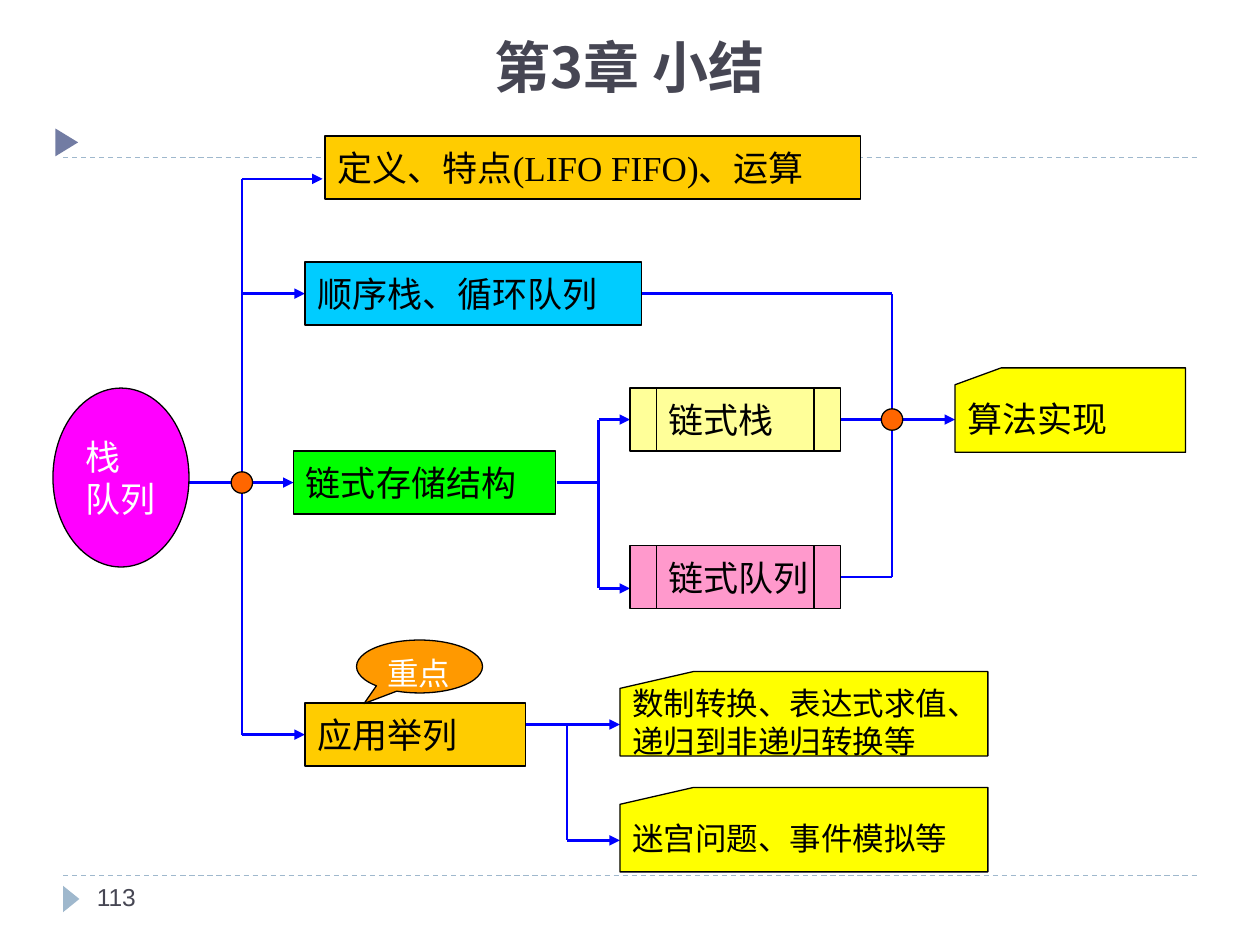
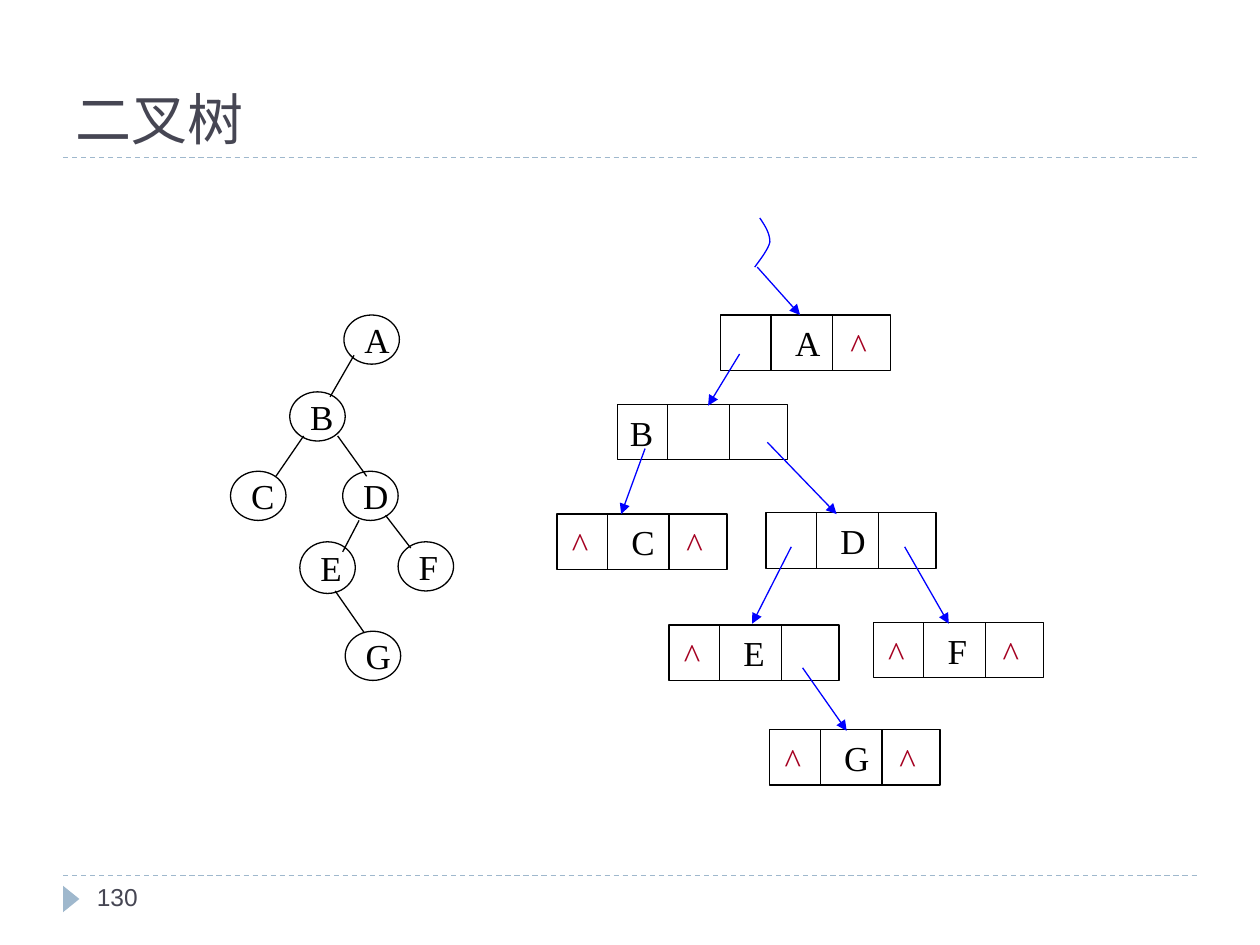
from dataclasses import dataclass
from itertools import pairwise

from lxml import etree
from pptx import Presentation
from pptx.dml.color import RGBColor
from pptx.enum.dml import MSO_LINE
from pptx.enum.shapes import MSO_CONNECTOR, MSO_SHAPE
from pptx.enum.text import MSO_ANCHOR, PP_ALIGN
from pptx.oxml.ns import qn
from pptx.util import Inches, Pt

RECT = MSO_SHAPE.RECTANGLE
OVAL = MSO_SHAPE.OVAL
TRIANGLE = MSO_SHAPE.ISOSCELES_TRIANGLE
CALLOUT = MSO_SHAPE.OVAL_CALLOUT
CARD = MSO_SHAPE.FLOWCHART_CARD
PROCESS = MSO_SHAPE.FLOWCHART_PREDEFINED_PROCESS
STRAIGHT = MSO_CONNECTOR.STRAIGHT
DASH = MSO_LINE.DASH
TOP, MIDDLE, BOTTOM = MSO_ANCHOR.TOP, MSO_ANCHOR.MIDDLE, MSO_ANCHOR.BOTTOM
LEFT, CENTER = PP_ALIGN.LEFT, PP_ALIGN.CENTER

Point = tuple[float, float]
Box = tuple[float, float, float, float]


@dataclass(frozen=True)
class Theme:
    ink: str = "000000"
    white: str = "FFFFFF"
    title: str = "464653"
    rule: str = "9FB8CD"
    marker: str = "727CA3"
    link: str = "0000FF"
    junction: str = "FF6600"
    null: str = "A50021"
    gold: str = "FFCC00"
    orange: str = "FF9900"
    yellow: str = "FFFF00"
    sky: str = "00CCFF"
    green: str = "00FF00"
    magenta: str = "FF00FF"
    cream: str = "FFFF99"
    pink: str = "FF99CC"
    serif: str = "Times New Roman"
    sans: str = "Arial"
    cjk: str = "Noto Sans CJK SC"
    title_size: float = 32
    body_size: float = 20
    small_size: float = 18
    page_size: float = 14
    thin: float = 0.75
    thick: float = 1.5


THEME = Theme()


@dataclass(frozen=True)
class Style:
    size: float = THEME.body_size
    color: str = THEME.ink
    font: str = THEME.serif
    bold: bool = False
    anchor: MSO_ANCHOR = MIDDLE
    align: PP_ALIGN = LEFT
    inset: float = 0.1
    wrap: bool = False


@dataclass(frozen=True)
class Topic:
    """A labelled box of the chapter map."""
    kind: MSO_SHAPE
    box: Box
    fill: str
    lines: tuple[str, ...]
    style: Style = Style()


@dataclass(frozen=True)
class Route:
    """A run of straight links through several points."""
    points: tuple[Point, ...]
    arrow: bool = True


@dataclass(frozen=True)
class TreeNode:
    label: str
    left: float
    top: float
    height: float = 0.39


@dataclass(frozen=True)
class LinkedNode:
    """A record with left pointer, data and right pointer."""
    label: str
    left: float
    top: float
    nulls: str = ""
    label_inset: float = 0.59


SMALL = Style(size=THEME.small_size)
NULL = Style(color=THEME.null)


# Drawing helpers
def rgb(value: str) -> RGBColor:
    return RGBColor.from_string(value)


def write(shape, lines: tuple[str, ...], style: Style) -> None:
    frame = shape.text_frame
    frame.word_wrap = style.wrap
    frame.vertical_anchor = style.anchor
    frame.margin_left = Inches(style.inset)
    for index, line in enumerate(lines):
        paragraph = frame.add_paragraph() if index else frame.paragraphs[0]
        paragraph.alignment = style.align
        run = paragraph.add_run()
        run.text = line
        run.font.size = Pt(style.size)
        run.font.bold = style.bold
        run.font.name = style.font
        run.font.color.rgb = rgb(style.color)
        east_asian = etree.SubElement(run._r.get_or_add_rPr(), qn("a:ea"))
        east_asian.set("typeface", THEME.cjk)


def add_text(slide, box: Box, text: str, style: Style) -> None:
    write(slide.shapes.add_textbox(*map(Inches, box)), (text,), style)


def add_figure(slide, kind: MSO_SHAPE, box: Box, fill: str | None = None,
               outline: str | None = THEME.ink):
    figure = slide.shapes.add_shape(kind, *map(Inches, box))
    figure.shadow.inherit = False
    if fill:
        figure.fill.solid()
        figure.fill.fore_color.rgb = rgb(fill)
    else:
        figure.fill.background()
    if outline:
        figure.line.color.rgb = rgb(outline)
        figure.line.width = Pt(THEME.thin)
    else:
        figure.line.fill.background()
    return figure


def add_line(slide, start: Point, end: Point, color: str = THEME.ink,
             width: float = THEME.thin, arrow: bool = False):
    line = slide.shapes.add_connector(STRAIGHT, *map(Inches, start + end))
    line.line.color.rgb = rgb(color)
    line.line.width = Pt(width)
    if arrow:
        tail = etree.SubElement(line.line._get_or_add_ln(), qn("a:tailEnd"))
        tail.set("type", "triangle")
    etree.SubElement(line._element.spPr, qn("a:effectLst"))
    return line


def add_route(slide, route: Route) -> None:
    legs = list(pairwise(route.points))
    for index, (start, end) in enumerate(legs, 1):
        add_line(slide, start, end, THEME.link, THEME.thick,
                 route.arrow and index == len(legs))


def add_pointer(slide, box: Box, fill: str) -> None:
    add_figure(slide, TRIANGLE, box, fill, None).rotation = 90


def add_frame(prs, page: str):
    """Start a slide with the shared rules, footer marker and page number."""
    slide = prs.slides.add_slide(prs.slide_layouts[6])
    for y in (6.95, 1.25):
        add_line(slide, (0.5, y), (9.5, y), THEME.rule).line.dash_style = DASH
    add_pointer(slide, (0.46, 7.07, 0.21, 0.13), THEME.rule)
    add_text(slide, (0.67, 6.95, 2.17, 0.4), page,
             Style(THEME.page_size, THEME.title, THEME.sans, anchor=TOP))
    return slide


def add_title(slide, box: Box, text: str, font: str, bold: bool = False,
              align: PP_ALIGN = LEFT) -> None:
    add_text(slide, box, text, Style(THEME.title_size, THEME.title, font, bold,
                                     BOTTOM, align, wrap=True))


# Chapter map
HUB: Point = (1.92, 3.83)
MERGE: Point = (7.08, 3.33)
ROUTES = (
    Route(((1.5, 3.83), HUB), arrow=False),
    Route((HUB, (1.92, 1.42), (2.56, 1.42))),
    Route(((1.92, 2.33), (2.42, 2.33))),
    Route((HUB, (2.33, 3.83))),
    Route((HUB, (1.92, 5.83), (2.42, 5.83))),
    Route(((4.42, 3.83), (4.75, 3.83), (4.75, 3.33), (5, 3.33))),
    Route(((4.75, 3.83), (4.75, 4.67), (5, 4.67))),
    Route(((5.08, 2.33), (7.08, 2.33), MERGE), arrow=False),
    Route(((6.67, 4.58), (7.08, 4.58), MERGE), arrow=False),
    Route(((6.67, 3.33), MERGE, (7.58, 3.33))),
    Route(((4.17, 5.75), (4.92, 5.75))),
    Route(((4.5, 5.75), (4.5, 6.67), (4.92, 6.67))),
)
TOPICS = (
    Topic(OVAL, (0.42, 3.08, 1.08, 1.42), THEME.magenta, ("栈", "队列"),
          Style(color=THEME.white)),
    Topic(RECT, (2.58, 1.08, 4.25, 0.5), THEME.gold,
          ("定义、特点(LIFO FIFO)、运算",)),
    Topic(RECT, (2.42, 2.08, 2.67, 0.5), THEME.sky, ("顺序栈、循环队列",)),
    Topic(RECT, (2.33, 3.58, 2.08, 0.5), THEME.green, ("链式存储结构",)),
    Topic(RECT, (2.42, 5.58, 1.75, 0.5), THEME.gold, ("应用举列",)),
    Topic(PROCESS, (5, 3.08, 1.67, 0.5), THEME.cream, ("链式栈",)),
    Topic(PROCESS, (5, 4.33, 1.67, 0.5), THEME.pink, ("链式队列",)),
    Topic(CARD, (7.58, 2.92, 1.83, 0.67), THEME.yellow, ("算法实现",)),
    Topic(CARD, (4.92, 5.33, 2.92, 0.67), THEME.yellow,
          ("数制转换、表达式求值、", "递归到非递归转换等"), SMALL),
    Topic(CARD, (4.92, 6.25, 2.92, 0.67), THEME.yellow,
          ("迷宫问题、事件模拟等",), SMALL),
)


def build_summary(prs) -> None:
    slide = add_frame(prs, "113")
    add_title(slide, (0.33, 0.17, 9.33, 0.67), "第3章 小结", THEME.cjk, True, CENTER)
    add_pointer(slide, (0.42, 1.04, 0.22, 0.18), THEME.marker)
    for route in ROUTES:
        add_route(slide, route)
    for topic in TOPICS:
        write(add_figure(slide, topic.kind, topic.box, topic.fill),
              topic.lines, topic.style)
    for x, y in (HUB, MERGE):
        add_figure(slide, OVAL, (x - 0.085, y - 0.085, 0.17, 0.17), THEME.junction)
    key_point = add_figure(slide, CALLOUT, (2.83, 5.08, 1, 0.42), THEME.orange)
    key_point.adjustments[0], key_point.adjustments[1] = -0.44, 0.7
    write(key_point, ("重点",), Style(THEME.small_size, THEME.white, anchor=TOP))


# Binary tree and its linked storage
TREE = (
    TreeNode("A", 2.73, 2.5), TreeNode("B", 2.3, 3.11),
    TreeNode("C", 1.83, 3.74), TreeNode("D", 2.72, 3.74),
    TreeNode("E", 2.38, 4.3, 0.41), TreeNode("F", 3.16, 4.3),
    TreeNode("G", 2.74, 5.01),
)
BRANCHES = (
    ((2.81, 2.82), (2.62, 3.15)), ((2.41, 3.46), (2.19, 3.78)),
    ((2.68, 3.46), (2.91, 3.78)), ((2.85, 4.13), (2.72, 4.38)),
    ((3.06, 4.09), (3.26, 4.35)), ((2.66, 4.69), (2.89, 5.02)),
)
RECORDS = (
    LinkedNode("A", 5.72, 2.5, "R"), LinkedNode("B", 4.9, 3.21, label_inset=0.1),
    LinkedNode("C", 4.42, 4.08, "LR"), LinkedNode("D", 6.08, 4.07),
    LinkedNode("E", 5.31, 4.96, "L"), LinkedNode("F", 6.93, 4.94, "LR"),
    LinkedNode("G", 6.11, 5.79, "LR"),
)
POINTERS = (
    ((6.01, 2.12), (6.35, 2.5)), ((5.87, 2.81), (5.62, 3.22)),
    ((5.12, 3.56), (4.93, 4.08)), ((6.09, 3.51), (6.64, 4.08)),
    ((6.28, 4.34), (5.97, 4.95)), ((7.18, 4.34), (7.53, 4.95)),
    ((6.37, 5.3), (6.72, 5.8)),
)
NULL_OFFSETS = {"L": 0.02, "R": 0.93}
ROOT_CURVE = (
    ((6.03, 1.73), (6.07, 1.79), (6.11, 1.85), (6.11, 1.92)),
    ((6.11, 1.92), (6.1, 1.98), (6.01, 2.09), (5.99, 2.12)),
)


def bezier(controls: tuple[Point, ...], t: float) -> Point:
    if len(controls) == 1:
        return controls[0]
    return bezier(tuple((a[0] + (b[0] - a[0]) * t, a[1] + (b[1] - a[1]) * t)
                        for a, b in pairwise(controls)), t)


def add_root_curve(slide) -> None:
    steps = 10
    points = [tuple(map(Inches, bezier(part, i / steps)))
              for part in ROOT_CURVE for i in range(steps + 1)]
    builder = slide.shapes.build_freeform(*points[0])
    builder.add_line_segments(points[1:], close=False)
    curve = builder.convert_to_shape()
    curve.shadow.inherit = False
    curve.fill.background()
    curve.line.color.rgb = rgb(THEME.link)
    curve.line.width = Pt(THEME.thin)


def add_record(slide, node: LinkedNode) -> None:
    height = 0.44
    record = add_figure(slide, RECT, (node.left, node.top, 1.35, height))
    write(record, (node.label,), Style(inset=node.label_inset))
    for offset in (0.4, 0.89):
        x = node.left + offset
        add_line(slide, (x, node.top), (x, node.top + height))
    for side in node.nulls:
        add_text(slide, (node.left + NULL_OFFSETS[side], node.top + 0.02, 0.36, 0.43),
                 "^", NULL)


def build_tree(prs) -> None:
    slide = add_frame(prs, "130")
    add_title(slide, (0.5, 0.17, 9, 1.08), "二叉树", THEME.sans)
    for node in RECORDS:
        add_record(slide, node)
    add_root_curve(slide)
    for start, end in POINTERS:
        add_line(slide, start, end, THEME.link, arrow=True)
    for node in TREE:
        circle = add_figure(slide, OVAL, (node.left, node.top, 0.44, node.height))
        write(circle, (node.label,), Style())
    for start, end in BRANCHES:
        add_line(slide, start, end)


def main() -> None:
    prs = Presentation()
    prs.slide_width, prs.slide_height = Inches(10), Inches(7.5)
    build_summary(prs)
    build_tree(prs)
    prs.save("out.pptx")


if __name__ == "__main__":
    main()
